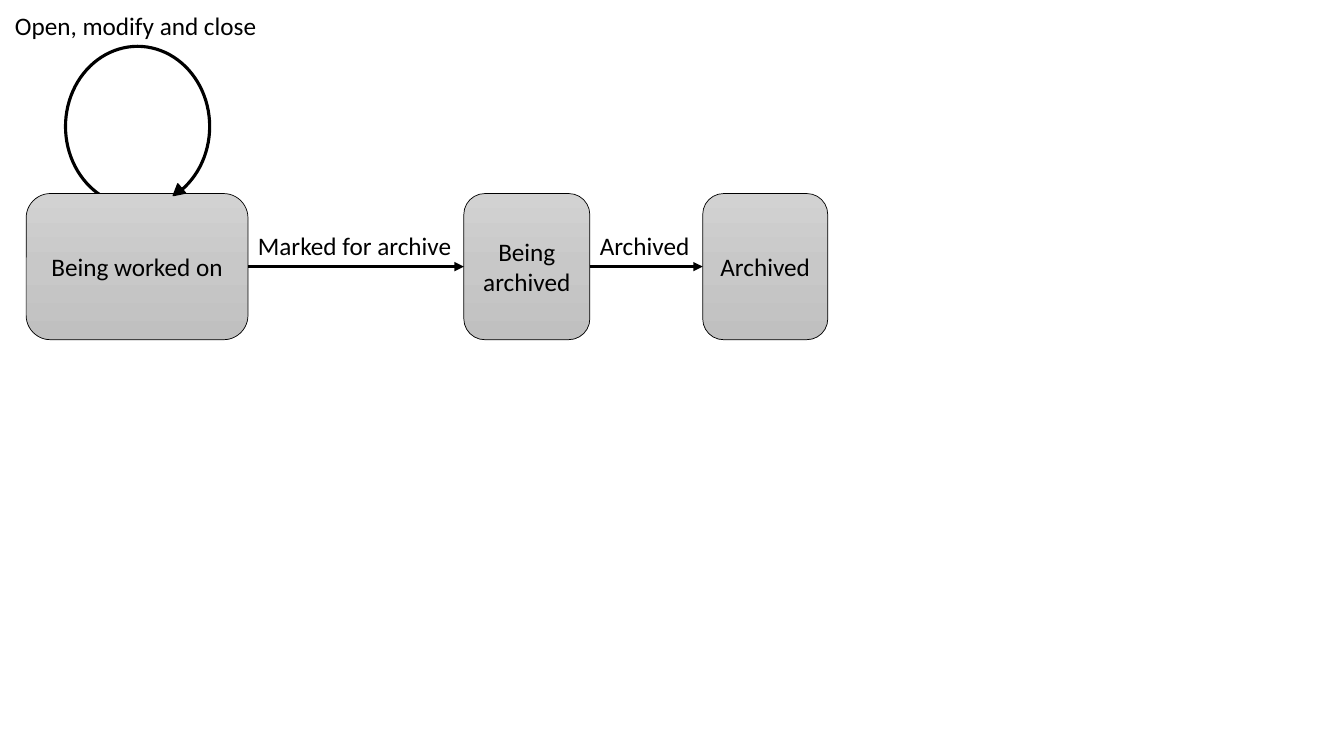
from copy import deepcopy
from dataclasses import dataclass
from itertools import pairwise

from lxml.etree import SubElement
from pptx import Presentation
from pptx.dml.color import RGBColor
from pptx.enum.shapes import MSO_CONNECTOR, MSO_SHAPE
from pptx.enum.text import MSO_ANCHOR, PP_ALIGN
from pptx.oxml.ns import qn
from pptx.util import Inches, Pt


@dataclass(frozen=True)
class Theme:
    ink: RGBColor = RGBColor.from_string("000000")
    paper: RGBColor = RGBColor.from_string("FFFFFF")
    state_shades: tuple = ("D2D2D2", "C8C8C8", "C0C0C0")
    font: str = "Calibri"
    text_size: int = 18
    border: float = 0.5
    stroke: float = 2.25


@dataclass(frozen=True)
class Box:
    left: float
    top: float
    width: float
    height: float

    @property
    def right(self):
        return self.left + self.width

    @property
    def inches(self):
        return [Inches(side) for side in (self.left, self.top, self.width, self.height)]


THEME = Theme()
STATE_TOP, STATE_HEIGHT = 1.92, 1.45
LABEL_HEIGHT = 0.4
LABEL_RISE = 0.32  # from the state's top edge down to the transition label
LEFT_SITE, RIGHT_SITE = 1, 3
# text, left, width
STATES = [
    ("Being worked on", 0.26, 2.2),
    ("Being archived", 4.6, 1.25),
    ("Archived", 6.97, 1.24),
]
TRANSITIONS = ["Marked for archive", "Archived"]


def write_text(frame, text, align=PP_ALIGN.LEFT, anchor=MSO_ANCHOR.TOP, wrap=True):
    frame.word_wrap = wrap
    frame.vertical_anchor = anchor
    para = frame.paragraphs[0]
    para.alignment = align
    span = para.add_run()
    span.text = text
    span.font.name = THEME.font
    span.font.size = Pt(THEME.text_size)
    span.font.color.rgb = THEME.ink


def add_label(page, box, text):
    write_text(page.shapes.add_textbox(*box.inches).text_frame, text, wrap=False)


def add_outlined(page, kind, box, line_width, fill=None):
    shape = page.shapes.add_shape(kind, *box.inches)
    shape.shadow.inherit = False
    shape.line.color.rgb = THEME.ink
    shape.line.width = Pt(line_width)
    if fill is not None:
        shape.fill.solid()
        shape.fill.fore_color.rgb = fill
    return shape


def shade_downwards(fill, shades):
    """Fill with evenly spaced shades from top to bottom."""
    fill.gradient()
    fill.gradient_angle = 270
    first = fill.gradient_stops[0]
    first.color.rgb = RGBColor.from_string(shades[0])
    stops = fill._xPr.find(qn("a:gradFill")).find(qn("a:gsLst"))
    stops.insert(1, deepcopy(stops[0]))
    for index, (stop, shade) in enumerate(zip(fill.gradient_stops, shades)):
        stop.color.rgb = RGBColor.from_string(shade)
        stop.position = index / (len(shades) - 1)


def add_state(page, box, text):
    state = add_outlined(page, MSO_SHAPE.ROUNDED_RECTANGLE, box, THEME.border)
    shade_downwards(state.fill, THEME.state_shades)
    write_text(state.text_frame, text, PP_ALIGN.CENTER, MSO_ANCHOR.MIDDLE)
    return state


def add_transition(page, source, target, gap, text):
    """Join two states with an arrow and label it in the gap between them."""
    arrow = page.shapes.add_connector(MSO_CONNECTOR.STRAIGHT, 0, 0, 0, 0)
    arrow.begin_connect(source, RIGHT_SITE)
    arrow.end_connect(target, LEFT_SITE)
    arrow.line.color.rgb = THEME.ink
    arrow.line.width = Pt(THEME.stroke)
    SubElement(arrow.line._get_or_add_ln(), qn("a:tailEnd"), type="triangle")
    SubElement(arrow._element.spPr, qn("a:effectLst"))
    add_label(page, gap, text)


def add_loop(page, box):
    """Draw the ring that the first state later covers in part."""
    add_outlined(page, MSO_SHAPE.OVAL, box, THEME.stroke, THEME.paper)


def add_loop_end(page, box, text):
    """Draw the arrowhead at the ring's lower right, and the label above it."""
    tip = Box(box.left + 1.05, box.top + 1.39, 0.12, 0.11)
    head = add_outlined(page, MSO_SHAPE.ISOSCELES_TRIANGLE, tip, 1, THEME.ink)
    head.rotation = 230
    add_label(page, Box(box.left - 0.6, box.top - 0.41, 2.63, LABEL_HEIGHT), text)


def add_state_diagram(page):
    loop = Box(0.65, 0.46, 1.43, 1.59)
    add_loop(page, loop)
    placed = []
    for text, left, width in STATES:
        box = Box(left, STATE_TOP, width, STATE_HEIGHT)
        placed.append((add_state(page, box, text), box))
    for (start, end), text in zip(pairwise(placed), TRANSITIONS):
        source, source_box = start
        target, target_box = end
        gap = Box(source_box.right, source_box.top + LABEL_RISE,
                  target_box.left - source_box.right, LABEL_HEIGHT)
        add_transition(page, source, target, gap, text)
    add_loop_end(page, loop, "Open, modify and close")


def main():
    deck = Presentation()
    deck.slide_width, deck.slide_height = Inches(13.33), Inches(7.5)
    add_state_diagram(deck.slides.add_slide(deck.slide_layouts[6]))
    deck.save("out.pptx")


if __name__ == "__main__":
    main()
